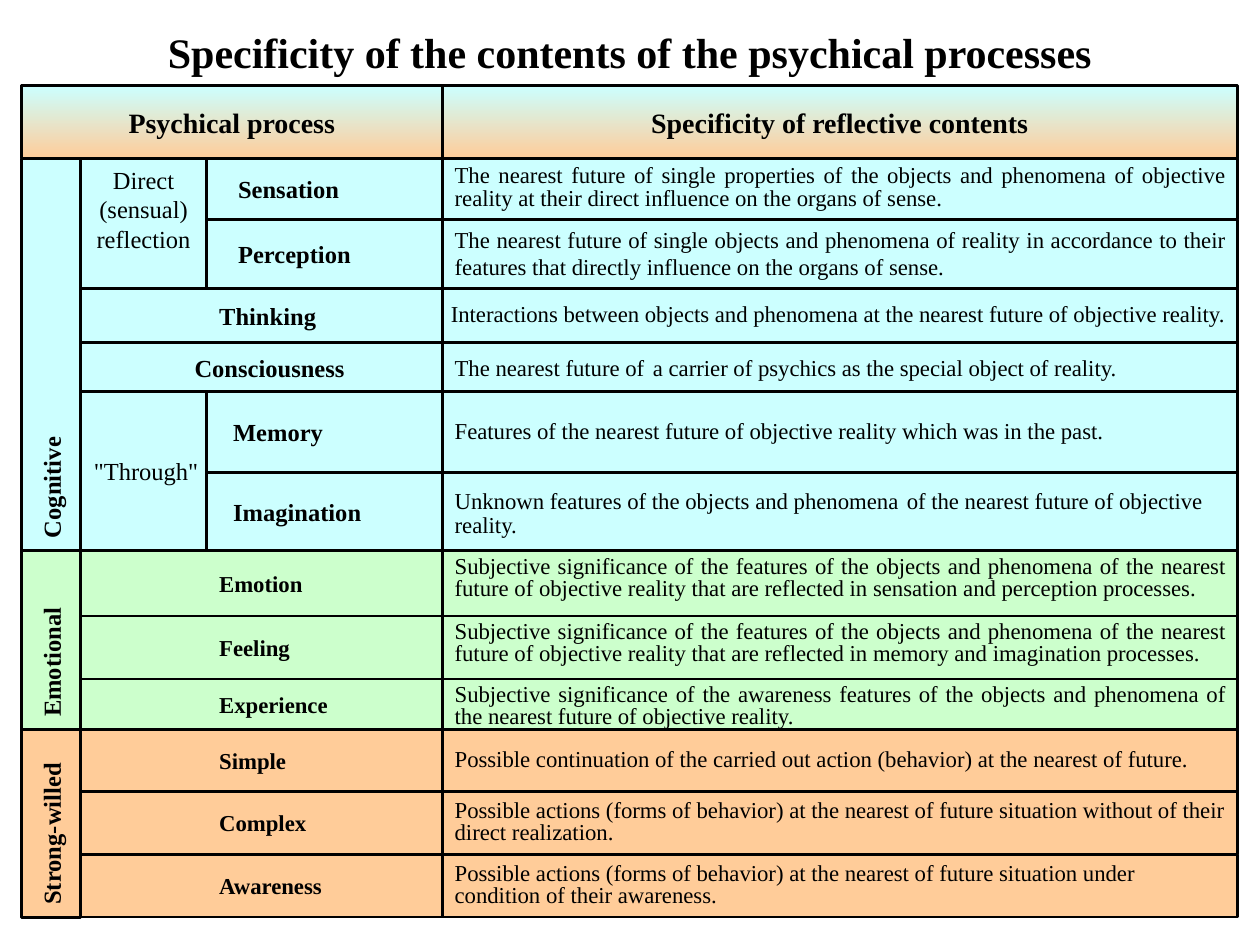
"""Build a slide that sorts psychical processes by the specificity of their contents."""
import pptx
import pptx.dml.color
import pptx.enum.shapes
import pptx.enum.text
import pptx.util

Inches = pptx.util.Inches
ALIGN = pptx.enum.text.PP_ALIGN
ANCHOR = pptx.enum.text.MSO_ANCHOR
COLORS = {"cognitive": "CCFFFF", "emotional": "CCFFCC", "willed": "FFCC99", "black": "000000"}
FONT = "Times New Roman"
COLUMNS = [0.17, 0.64, 1.64, 3.51, 9.82]
ROWS = [0.68, 1.26, 1.74, 2.29, 2.72, 3.11, 3.75, 4.37, 4.89, 5.39, 5.79, 6.28, 6.78, 7.28]

TITLE = "Specificity of the contents of the psychical processes"
HEADERS = [("Psychical process", 0, 3), ("Specificity of reflective contents", 3, 4)]
CATEGORIES = [
    ("Cognitive", 1, 7, "cognitive"),
    ("Emotional", 7, 10, "emotional"),
    ("Strong-willed", 10, 13, "willed"),
]
GROUPS = [
    (["Direct", "(sensual) reflection"], 1, 3, (0.1, 0.05, 0.1, 0.28)),
    (['"Through"'], 5, 7, (0.06, 0.05, 0.02, 0.05)),
]
SUB_LABEL = {"column": 2, "size": 14, "left": 0.25}
THROUGH_LABEL = {"column": 2, "size": 14, "left": 0.21}
LABEL = {"column": 1, "size": 13, "left": 1.1}
TOP = {"anchor": ANCHOR.TOP, "align": ALIGN.JUSTIFY}
JUSTIFIED = {"align": ALIGN.JUSTIFY}
PROCESSES = [
    ("Sensation", SUB_LABEL, "The nearest future of single properties of the objects and phenomena of objective "
     "reality at their direct influence on the organs of sense.", {**TOP, "spacing": 0.85}),
    ("Perception", SUB_LABEL, "The nearest future of single objects and phenomena of reality in accordance to their "
     "features that directly influence on the organs of sense.", {**TOP, "spacing": 1.0}),
    ("Thinking", {**LABEL, "size": 14}, "Interactions between objects and phenomena at the nearest future of "
     "objective reality.", {**JUSTIFIED, "left_edge": 3.48}),
    ("Consciousness", {"column": 1, "size": 14, "left": 0.15, "right": 0.02, "align": ALIGN.CENTER},
     ("The nearest future of", " ", "a carrier of psychics as the special object of reality."), JUSTIFIED),
    ("Memory", THROUGH_LABEL, "Features of the nearest future of objective reality which was in the past.",
     {"spacing": 0.85}),
    ("Imagination", THROUGH_LABEL, ("Unknown features of the objects and phenomena", " ",
     "of the nearest future of objective reality."), {}),
    ("Emotion", LABEL, "Subjective significance of the features of the objects and phenomena of the nearest future "
     "of objective reality that are reflected in sensation and perception processes.", TOP),
    ("Feeling", LABEL, "Subjective significance of the features of the objects and phenomena of the nearest future "
     "of objective reality that are reflected in memory and imagination processes.", TOP),
    ("Experience", LABEL, "Subjective significance of the awareness features of the objects and phenomena of the "
     "nearest future of objective reality.", TOP),
    ("Simple", LABEL, "Possible continuation of the carried out action (behavior) at the nearest of future.", {}),
    ("Complex", LABEL, "Possible actions (forms of behavior) at the nearest of future situation without of their "
     "direct realization.", {}),
    ("Awareness", LABEL, "Possible actions (forms of behavior) at the nearest of future situation under condition "
     "of their awareness.", {}),
]


def rgb(name):
    return pptx.dml.color.RGBColor.from_string(COLORS[name])


def write(shape, paragraphs, size=13, bold=False, align=ALIGN.LEFT, anchor=ANCHOR.MIDDLE,
          spacing=1.0, insets=(0.1, 0.05, 0.1, 0.05)):
    frame = shape.text_frame
    frame.word_wrap = True
    frame.auto_size = pptx.enum.text.MSO_AUTO_SIZE.NONE
    frame.vertical_anchor = anchor
    frame.margin_left, frame.margin_top, frame.margin_right, frame.margin_bottom = map(Inches, insets)
    for index, runs in enumerate(paragraphs):
        paragraph = frame.add_paragraph() if index else frame.paragraphs[0]
        paragraph.alignment = align
        paragraph.line_spacing = spacing
        for text in [runs] if isinstance(runs, str) else runs:
            run = paragraph.add_run()
            run.text = text
            is_gap = text == " "
            run.font.name = "Arial" if is_gap else FONT
            run.font.size = pptx.util.Pt(18 if is_gap else size)
            run.font.bold = bold
            run.font.color.rgb = rgb("black")


def add_cell(slide, columns, rows, color, paragraphs, left_edge=None, **text_format):
    left = COLUMNS[columns[0]] if left_edge is None else left_edge
    top, right, bottom = ROWS[rows[0]], COLUMNS[columns[1]], ROWS[rows[1]]
    cell = slide.shapes.add_shape(
        pptx.enum.shapes.MSO_SHAPE.RECTANGLE,
        Inches(left), Inches(top), Inches(right - left), Inches(bottom - top))
    cell.shadow.inherit = False
    cell.line.color.rgb = rgb("black")
    cell.line.width = pptx.util.Pt(1.5)
    if isinstance(color, tuple):
        cell.fill.gradient()
        cell.fill.gradient_angle = 270
        for position, (stop, name) in enumerate(zip(cell.fill.gradient_stops, color)):
            stop.position = position
            stop.color.rgb = rgb(name)
    else:
        cell.fill.solid()
        cell.fill.fore_color.rgb = rgb(color)
    write(cell, paragraphs, **text_format)
    return cell


def add_process(slide, row, color, label, label_format, contents, contents_format):
    rows = (row, row + 1)
    insets = (label_format["left"], 0.05, label_format.get("right", 0.1), 0.05)
    add_cell(slide, (3, 4), rows, color, [contents], **{"spacing": 0.8, **contents_format})
    add_cell(slide, (label_format["column"], 3), rows, color, [label], size=label_format["size"],
             bold=True, align=label_format.get("align", ALIGN.LEFT), insets=insets)


def main():
    presentation = pptx.Presentation()
    presentation.slide_width, presentation.slide_height = Inches(10), Inches(7.5)
    slide = presentation.slides.add_slide(presentation.slide_layouts[5])
    title = slide.shapes.title
    title.left, title.top, title.width, title.height = map(Inches, (0.5, 0.3, 9, 0.3))
    write(title, [TITLE], size=24, bold=True, align=ALIGN.CENTER, spacing=0.8)

    for text, first, last in HEADERS:
        add_cell(slide, (first, last), (0, 1), ("cognitive", "willed"), [text],
                 size=16, bold=True, align=ALIGN.CENTER)
    for text, first, last, color in CATEGORIES:
        for row in range(first, last):
            add_process(slide, row, color, *PROCESSES[row - 1])
        category = add_cell(slide, (0, 1), (first, last), color, [text], size=14, bold=True,
                            align=ALIGN.CENTER, insets=(0.05, 0.1, 0.05, 0.1))
        category.rotation = 180
        category.text_frame._txBody.bodyPr.set("vert", "eaVert")
    for paragraphs, first, last, insets in GROUPS:
        add_cell(slide, (1, 2), (first, last), "cognitive", paragraphs, size=14,
                 align=ALIGN.CENTER, insets=insets)
    presentation.save("out.pptx")


if __name__ == "__main__":
    main()
